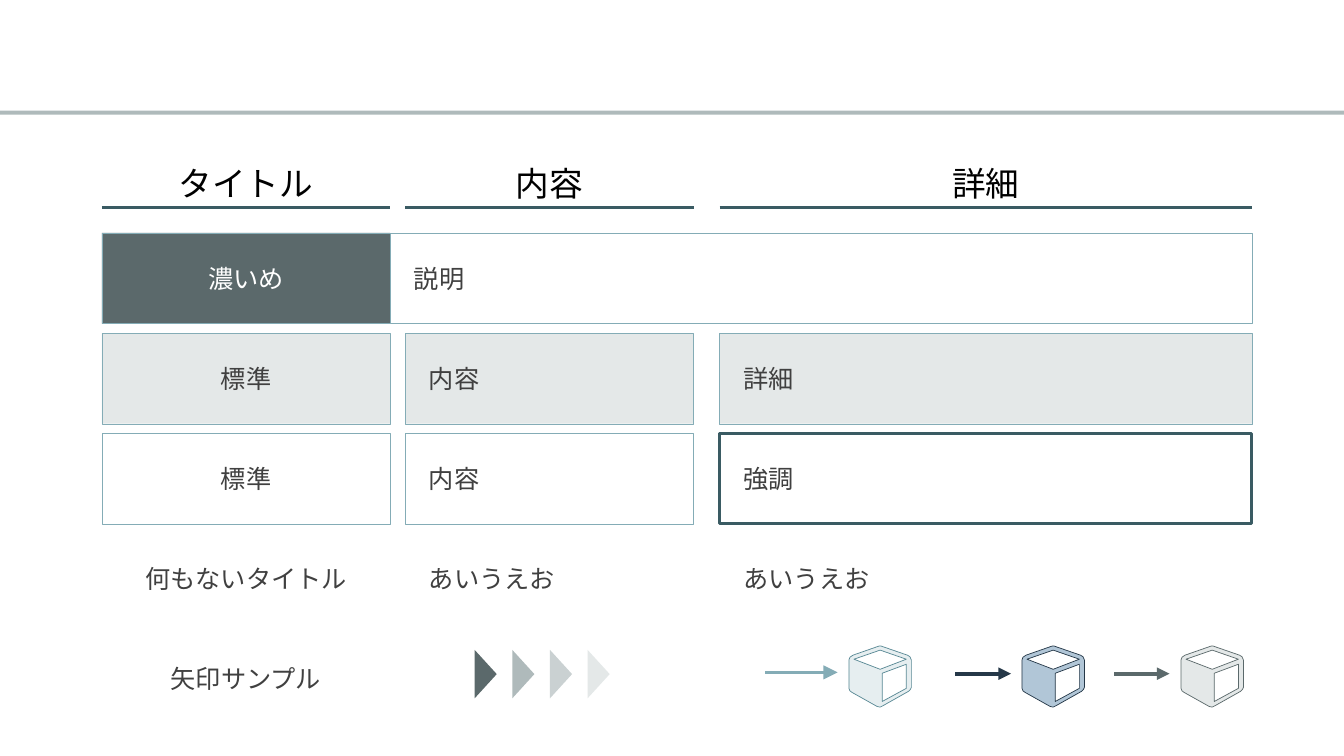
from dataclasses import dataclass
from typing import Optional

from lxml.etree import SubElement
from pptx import Presentation
from pptx.dml.color import RGBColor
from pptx.enum.lang import MSO_LANGUAGE_ID as Lang
from pptx.enum.shapes import MSO_CONNECTOR as Connector, MSO_SHAPE as Preset
from pptx.enum.text import MSO_ANCHOR as Anchor, PP_ALIGN as Align
from pptx.oxml.ns import qn
from pptx.util import Pt

FONT = "Cabin"
DARK, MIST, PALE, WHITE = "5B696B", "AFBABB", "E4E8E8", "FFFFFF"
TEAL, SKY, NAVY, INK = "3A5B63", "84ACB6", "253848", "404040"

# Grid of the table-like layout: (left, width) per column
TITLE_COL, CONTENT_COL, DETAIL_COL = (72.7, 206), (289.4, 206), (514, 380.2)
MERGED_COL = (278.7, 615.5)  # content and detail together
ROW_TOP, ROW_STEP, ROW_HEIGHT = 166.4, 71.5, 64.8
HEADER_TOP, HEADER_HEIGHT, UNDERLINE_Y = 110.9, 40.3, 148.3

# Cube outlines relative to the cube's top left corner
CUBE_BODY = [(21.6, 0), (23, 0), (41.8, 6.5), (43.6, 7.6), (44.6, 10),
             (44.6, 29.5), (43.9, 31), (42.5, 32.4), (24.5, 42.5),
             (22.3, 43.6), (20.2, 43.2), (2.2, 33.1), (0.7, 32), (0, 30.2),
             (0, 10), (0.7, 8), (2.9, 6.5), (20.9, 0.2)]
CUBE_LID = [(22.3, 2.9), (3.6, 9.4), (22.3, 16.6), (41, 9.4)]
CUBE_SIDE = [(41, 13), (23.8, 19.4), (23.8, 39.6), (41, 30.2)]
CUBE_TOP = 461.5


@dataclass
class Cell:
    row: int
    column: tuple[float, float]
    text: str
    fill: Optional[str] = None
    line: Optional[str] = SKY
    weight: float = 0.25
    color: str = INK


@dataclass
class CubeSample:
    start: float
    end: float
    y: float
    color: str
    weight: float
    head: str
    cube_left: float
    cube_fill: str
    cube_line: str


CELLS = [
    Cell(0, TITLE_COL, "濃いめ", DARK, color=WHITE),
    Cell(0, MERGED_COL, "説明", WHITE),
    Cell(1, TITLE_COL, "標準", PALE),
    Cell(1, CONTENT_COL, "内容", PALE),
    Cell(1, DETAIL_COL, "詳細", PALE),
    Cell(2, TITLE_COL, "標準", WHITE),
    Cell(2, CONTENT_COL, "内容", WHITE),
    Cell(2, DETAIL_COL, "強調", WHITE, TEAL, 2),
    Cell(3, TITLE_COL, "何もないタイトル"),
    Cell(3, CONTENT_COL, "あいうえお"),
    Cell(3, DETAIL_COL, "あいうえお"),
    Cell(4, TITLE_COL, "矢印サンプル"),
]
HEADERS = [(TITLE_COL, "タイトル"), (CONTENT_COL, "内容"), (DETAIL_COL, "詳細")]
CUBE_SAMPLES = [
    CubeSample(546.5, 598.3, 480.3, SKY, 2, "lg", 606.4, "E6EEF0", "588894"),
    CubeSample(682.4, 722.2, 481.2, NAVY, 3, "med", 730, "B1C6D7", NAVY),
    CubeSample(795.8, 835.4, 481.2, DARK, 3, "med", 843.6, PALE, DARK),
]


def rgb(value: str) -> RGBColor:
    return RGBColor.from_string(value)


def paint(shape, fill: str, line: Optional[str] = None, weight: float = 0.25) -> None:
    shape.shadow.inherit = False
    shape.fill.solid()
    shape.fill.fore_color.rgb = rgb(fill)
    if line:
        shape.line.color.rgb = rgb(line)
        shape.line.width = Pt(weight)
    else:
        shape.line.fill.background()


def write(shape, text: str, *, size: float = 18, color: str = INK,
          align: Align = Align.LEFT, anchor: Anchor = Anchor.MIDDLE) -> None:
    frame = shape.text_frame
    frame.word_wrap = True
    frame.vertical_anchor = anchor
    frame.margin_left = frame.margin_right = Pt(17)
    frame.margin_top = frame.margin_bottom = Pt(5.7)
    paragraph = frame.paragraphs[0]
    paragraph.alignment = align
    run = paragraph.add_run()
    run.text = text
    run.font.name = FONT
    run.font.size = Pt(size)
    run.font.color.rgb = rgb(color)
    run.font.language_id = Lang.JAPANESE


def draw_line(shapes, start: float, end: float, y: float, color: str,
              weight: float, head: Optional[str] = None) -> None:
    line = shapes.add_connector(Connector.STRAIGHT, Pt(start), Pt(y), Pt(end), Pt(y))
    line.line.color.rgb = rgb(color)
    line.line.width = Pt(weight)
    if head:
        SubElement(line.line._get_or_add_ln(), qn("a:tailEnd"),
                   type="triangle", w=head, len=head)
    SubElement(line._element.spPr, qn("a:effectLst"))


def draw_cell(shapes, cell: Cell) -> None:
    left, width = cell.column
    box = (Pt(left), Pt(ROW_TOP + cell.row * ROW_STEP), Pt(width), Pt(ROW_HEIGHT))
    if cell.fill:
        shape = shapes.add_shape(Preset.RECTANGLE, *box)
        paint(shape, cell.fill, cell.line, cell.weight)
    else:
        shape = shapes.add_textbox(*box)
    align = Align.CENTER if cell.column == TITLE_COL else Align.LEFT
    write(shape, cell.text, color=cell.color, align=align)


def draw_cube(shapes, left: float, fill: str, line: str) -> None:
    body, lid, side = ([(Pt(x), Pt(y)) for x, y in outline]
                       for outline in (CUBE_BODY, CUBE_LID, CUBE_SIDE))
    builder = shapes.build_freeform(*body[0])
    builder.add_line_segments(body[1:], close=True)
    for opening in (lid, side):
        builder.move_to(*opening[0])
        builder.add_line_segments(opening[1:], close=True)
    paint(builder.convert_to_shape(Pt(left), Pt(CUBE_TOP)), fill, line, 0.5)


def main() -> None:
    deck = Presentation()
    deck.slide_width, deck.slide_height = Pt(960), Pt(540)
    shapes = deck.slides.add_slide(deck.slide_layouts[6]).shapes

    # Rule under the title area
    rule = shapes.add_shape(Preset.RECTANGLE, Pt(0), Pt(79), Pt(960), Pt(2.9))
    paint(rule, MIST)

    # Column headers
    for (left, width), text in HEADERS:
        draw_line(shapes, left, left + width, UNDERLINE_Y, TEAL, 2.25)
        header = shapes.add_textbox(Pt(left), Pt(HEADER_TOP), Pt(width), Pt(HEADER_HEIGHT))
        write(header, text, size=24, color="000000", align=Align.CENTER, anchor=Anchor.TOP)

    # Rows
    for cell in CELLS:
        draw_cell(shapes, cell)

    # Fading chevrons
    for index, shade in enumerate((DARK, MIST, "CAD1D2", PALE)):
        chevron = shapes.add_shape(Preset.ISOSCELES_TRIANGLE, Pt(329.6 + index * 26.9),
                                   Pt(473.6), Pt(34.6), Pt(15.8))
        chevron.rotation = 90
        paint(chevron, shade)

    # Arrows leading to cubes
    for sample in CUBE_SAMPLES:
        draw_line(shapes, sample.start, sample.end, sample.y,
                  sample.color, sample.weight, sample.head)
        draw_cube(shapes, sample.cube_left, sample.cube_fill, sample.cube_line)

    deck.save("out.pptx")


if __name__ == "__main__":
    main()
